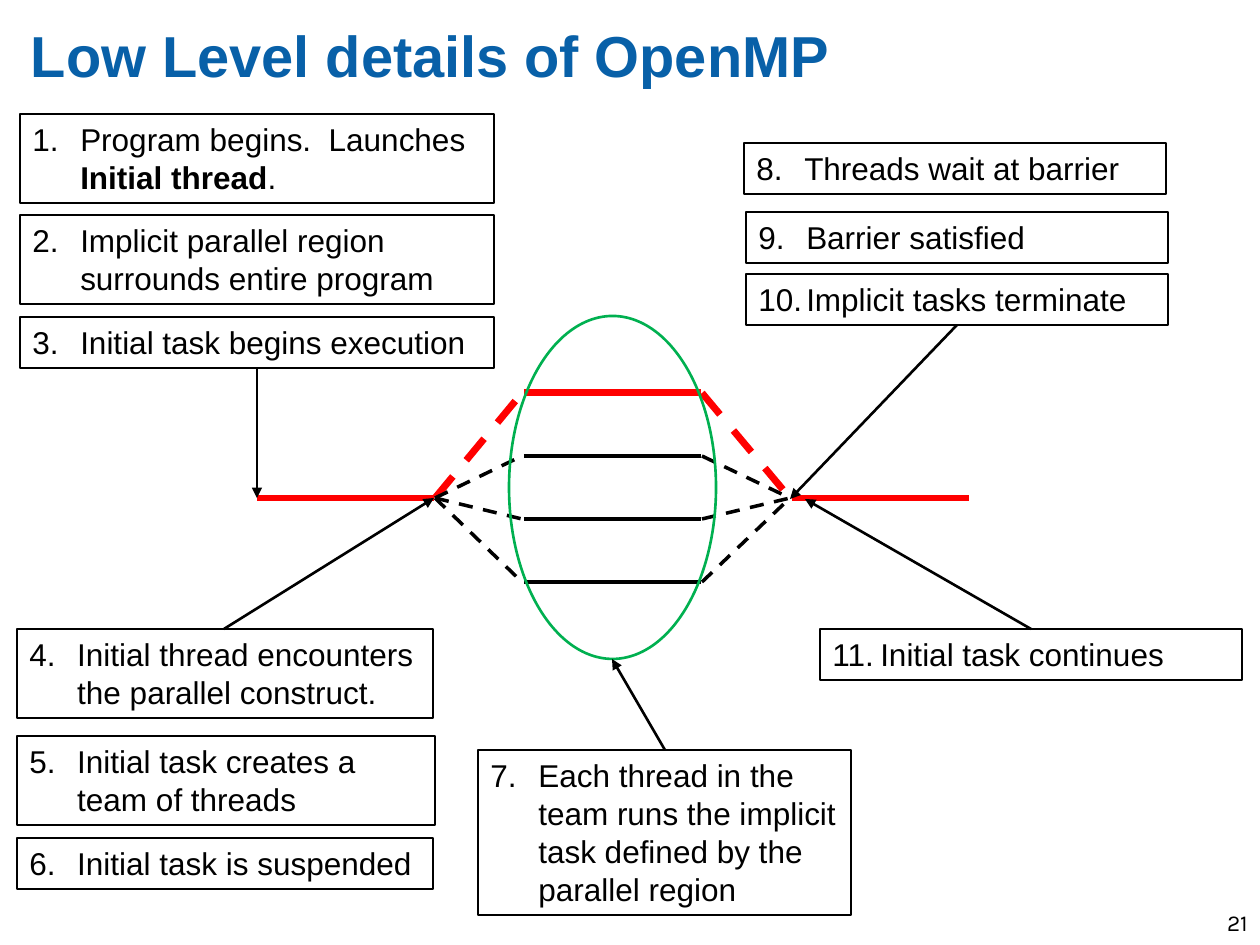
from lxml import etree
from pptx import Presentation
from pptx.dml.color import RGBColor
from pptx.enum.dml import MSO_LINE
from pptx.enum.shapes import MSO_CONNECTOR, MSO_SHAPE
from pptx.enum.text import MSO_ANCHOR, MSO_AUTO_SIZE, PP_ALIGN
from pptx.oxml.ns import qn
from pptx.util import Emu, Pt

BLACK = RGBColor(0, 0, 0)
RED = RGBColor(0xFF, 0, 0)
GREEN = RGBColor(0, 0xB0, 0x50)
BLUE = RGBColor(0x08, 0x60, 0xA8)
PX = 914400 / 126


def px(*lengths):
    return [Emu(round(length * PX)) for length in lengths]


def draw_line(ends, color, width, dashed=False, arrow=False):
    connector = slide.shapes.add_connector(MSO_CONNECTOR.STRAIGHT, *px(*ends))
    connector.line.color.rgb = color
    connector.line.width = Pt(width)
    if dashed:
        connector.line.dash_style = MSO_LINE.DASH
    if arrow:
        etree.SubElement(connector.line._get_or_add_ln(), qn("a:tailEnd"), type="triangle")
    etree.SubElement(connector._element.spPr, qn("a:effectLst"))


deck = Presentation()
deck.slide_width, deck.slide_height = px(1260, 945)
slide = deck.slides.add_slide(deck.slide_layouts[6])

heading = slide.shapes.add_textbox(*px(31, 16, 1135, 76)).text_frame
heading.word_wrap = True
heading.vertical_anchor = MSO_ANCHOR.MIDDLE
heading.margin_left = heading.margin_right = heading.margin_top = heading.margin_bottom = 0
heading_run = heading.paragraphs[0].add_run()
heading_run.text = "Low Level details of OpenMP"
heading_run.font.name = "Arial"
heading_run.font.size = Pt(33)
heading_run.font.bold = True
heading_run.font.color.rgb = BLUE

page = slide.shapes.add_textbox(*px(1155, 903, 105, 42)).text_frame
page.word_wrap = True
page.paragraphs[0].alignment = PP_ALIGN.RIGHT
page_run = page.paragraphs[0].add_run()
page_run.text = "21"
page_run.font.name = "Karla"
page_run.font.size = Pt(13)
page_run.font.color.rgb = BLACK

FORK_X, JOIN_X, TASK_Y = 435, 791, 498
TEAM_LEFT, TEAM_RIGHT = 524, 701
for start, end in [(257, 434), (792, 969)]:
    draw_line((start, TASK_Y, end, TASK_Y), RED, 4)
for thread in range(4):
    y = 393 + 63 * thread
    color, width = (RED, 4) if thread == 0 else (BLACK, 2)
    draw_line((TEAM_LEFT, y, TEAM_RIGHT, y), color, width)
    draw_line((FORK_X, TASK_Y, TEAM_LEFT - 2, y), color, width, dashed=True)
    draw_line((TEAM_RIGHT + 1, y, JOIN_X - 1, TASK_Y), color, width, dashed=True)

steps = [
    (20, 114, 474, 89, [("Program begins.  Launches ", False), ("Initial thread", True), (".", False)]),
    (20, 215, 474, 89, [("Implicit parallel region surrounds entire program", False)]),
    (20, 317, 474, 51, [("Initial task begins execution", False)]),
    (17, 629, 416, 89, [("Initial thread encounters the parallel construct.", False)]),
    (17, 736, 418, 89, [("Initial task creates a team of threads", False)]),
    (17, 838, 416, 51, [("Initial task is suspended", False)]),
    (478, 750, 373, 165, [("Each thread in the team runs the implicit task defined by the parallel region", False)]),
    (744, 143, 422, 51, [("Threads wait at barrier", False)]),
    (746, 212, 422, 51, [("Barrier satisfied", False)]),
    (746, 274, 422, 51, [("Implicit tasks terminate", False)]),
    (820, 629, 422, 51, [("Initial task continues", False)]),
]
INDENT = round(0.38 * 914400)
for number, (left, top, width, height, wording) in enumerate(steps, 1):
    step = slide.shapes.add_textbox(*px(left, top, width, height))
    step.line.color.rgb = BLACK
    step.line.width = Pt(0.75)
    step.text_frame.word_wrap = True
    step.text_frame.auto_size = MSO_AUTO_SIZE.SHAPE_TO_FIT_TEXT
    paragraph = step.text_frame.paragraphs[0]
    properties = paragraph._p.get_or_add_pPr()
    properties.set("marL", str(INDENT))
    properties.set("indent", str(-INDENT))
    etree.SubElement(properties, qn("a:buFont"), typeface="Arial")
    etree.SubElement(properties, qn("a:buAutoNum"), type="arabicPeriod", startAt=str(number))
    for words, bold in wording:
        run = paragraph.add_run()
        run.text = words
        run.font.name = "Arial"
        run.font.size = Pt(18)
        run.font.bold = bold
        run.font.color.rgb = BLACK

team = slide.shapes.add_shape(MSO_SHAPE.OVAL, *px(509, 316, 207, 343))
team.shadow.inherit = False
team.fill.background()
team.line.color.rgb = GREEN
team.line.width = Pt(1.5)

pointers = [
    (257, 368, 257, 498),
    (224, 629, 434, 498),
    (665, 750, 612, 659),
    (957, 325, 790, 499),
    (1031, 629, 805, 499),
]
for ends in pointers:
    draw_line(ends, BLACK, 1.5, arrow=True)

deck.save("out.pptx")
